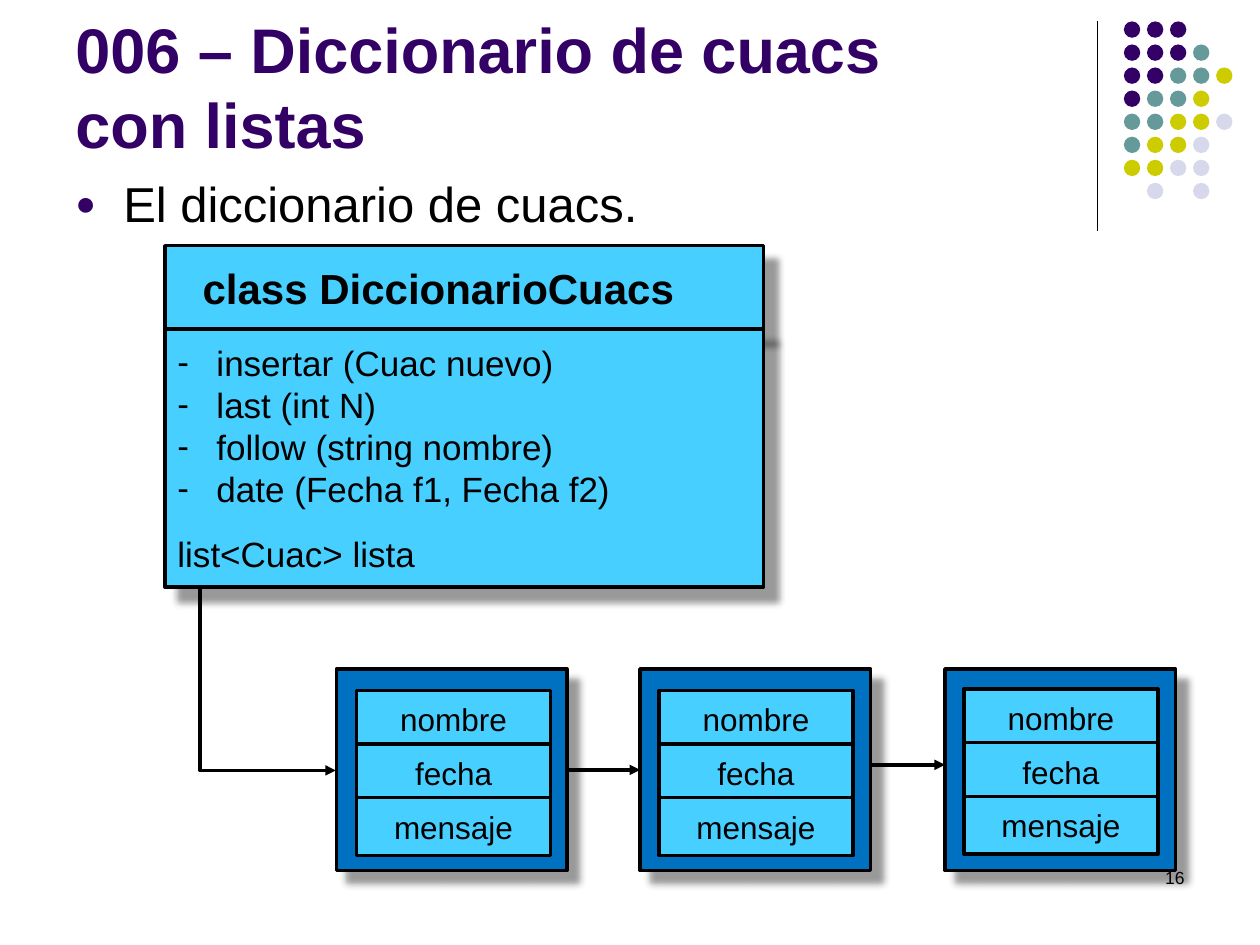
from lxml.etree import SubElement
from pptx import Presentation
from pptx.dml.color import RGBColor
from pptx.enum.shapes import MSO_CONNECTOR, MSO_SHAPE
from pptx.enum.text import MSO_ANCHOR, PP_ALIGN
from pptx.oxml.ns import qn
from pptx.util import Inches, Pt

TITLE = "006 – Diccionario de cuacs\vcon listas"
SUBTITLE = "El diccionario de cuacs."
PAGE = "16"
CLASS_NAME = "class DiccionarioCuacs"
METHODS = ["insertar (Cuac nuevo)", "last (int N)",
           "follow (string nombre)", "date (Fecha f1, Fecha f2)"]
ATTRIBUTE = "list<Cuac> lista"
FIELDS = ["nombre", "fecha", "mensaje"]
NODES = [(2.67, 2.83, 5.48), (5.08, 5.23, 5.48), (7.5, 7.65, 5.47)]

BLACK, PURPLE, SKY, BLUE = "000000", "330066", "47CFFF", "0070C0"
DOT_COLORS = {"P": PURPLE, "T": "669999", "Y": "CCCC00", "L": "D8D8EC"}
DOT_ROWS = ["PPP", "PPPT", "PPTTY", "PTTY", "TTYYL", "TYYL", "YYLL", ".L.L"]
DOT_PITCH, DOT_SIZE = 0.183, 0.13
NODE_TOP, NODE_W, NODE_H = 5.31, 1.83, 1.6
FIELD_W, FIELD_H, FIELD_PITCH = 1.54, 0.46, 0.425


def rgb(color):
    return RGBColor.from_string(color)


def child(parent, tag, **attrs):
    return SubElement(parent, qn(tag), {k: str(v) for k, v in attrs.items()})


def add_box(x, y, w, h, fill, line=True, shadow=0, kind=MSO_SHAPE.RECTANGLE):
    sp = slide.shapes.add_shape(kind, Inches(x), Inches(y), Inches(w), Inches(h))
    sp.fill.solid()
    sp.fill.fore_color.rgb = rgb(fill)
    if line:
        sp.line.color.rgb = rgb(BLACK)
        sp.line.width = Pt(2)
    else:
        sp.line.fill.background()
    sp.shadow.inherit = False
    if shadow:
        effects = sp._element.spPr.find(qn("a:effectLst"))
        outer = child(effects, "a:outerShdw", blurRad=Pt(4), dist=Pt(shadow),
                      dir=45 * 60000, algn="tl", rotWithShape=0)
        child(child(outer, "a:srgbClr", val=BLACK), "a:alpha", val=40000)
    return sp


def add_text(x, y, w, h):
    return slide.shapes.add_textbox(Inches(x), Inches(y), Inches(w), Inches(h))


def write(sp, lines, size, color=BLACK, bold=False, align=PP_ALIGN.LEFT,
          anchor=MSO_ANCHOR.MIDDLE):
    tf = sp.text_frame
    tf.word_wrap = True
    tf.vertical_anchor = anchor
    for i, line in enumerate(lines):
        p = tf.add_paragraph() if i else tf.paragraphs[0]
        p.text = line
        p.alignment = align
        for r in p.runs:
            r.font.name = "Arial"
            r.font.size = Pt(size)
            r.font.bold = bold
            r.font.color.rgb = rgb(color)
    return tf.paragraphs


def indent(p, left, char=None, color=None, percent=None):
    pPr = p._p.get_or_add_pPr()
    pPr.set("marL", str(Inches(left)))
    if char:
        pPr.set("indent", str(-Inches(left)))
        if color:
            child(child(pPr, "a:buClr"), "a:srgbClr", val=color)
        if percent:
            child(pPr, "a:buSzPct", val=percent * 1000)
        child(pPr, "a:buFont", typeface="Arial")
        child(pPr, "a:buChar", char=char)


def add_line(x1, y1, x2, y2, width=2, arrow=True, kind=MSO_CONNECTOR.STRAIGHT):
    cx = slide.shapes.add_connector(kind, Inches(x1), Inches(y1), Inches(x2), Inches(y2))
    cx.line.color.rgb = rgb(BLACK)
    cx.line.width = Pt(width)
    if arrow:
        child(cx.line._get_or_add_ln(), "a:tailEnd", type="triangle", w="med", len="med")
    child(cx._element.spPr, "a:effectLst")
    return cx


prs = Presentation()
prs.slide_width, prs.slide_height = Inches(10), Inches(7.5)
slide = prs.slides.add_slide(prs.slide_layouts[6])

add_line(8.71, 0.17, 8.71, 1.83, width=0.75, arrow=False)
for row, codes in enumerate(DOT_ROWS):
    for col, code in enumerate(codes):
        if code in DOT_COLORS:
            add_box(8.92 + col * DOT_PITCH, 0.17 + row * DOT_PITCH, DOT_SIZE, DOT_SIZE,
                    DOT_COLORS[code], line=False, kind=MSO_SHAPE.OVAL)

elbow = add_line(1.58, 4.65, 2.67, 6.11, kind=MSO_CONNECTOR.ELBOW)
elbow._element.spPr.find(qn("a:prstGeom")).set("prst", "bentConnector2")
elbow.left, elbow.top = Inches(1.39), Inches(4.84)
elbow.width, elbow.height = Inches(1.47), Inches(1.08)
xfrm = elbow._element.spPr.find(qn("a:xfrm"))
xfrm.set("rot", str(270 * 60000))
xfrm.set("flipH", "1")

header = add_box(1.31, 1.95, 4.75, 0.67, SKY, shadow=11)
indent(write(header, [CLASS_NAME], 24, bold=True)[0], 0.2)

write(add_text(0.5, 0.13, 8.25, 1.2), [TITLE], 36, PURPLE, True, anchor=MSO_ANCHOR.BOTTOM)
p = write(add_text(0.5, 1.33, 9.25, 0.75), [SUBTITLE], 28, anchor=MSO_ANCHOR.TOP)[0]
p.space_before = Pt(4)
indent(p, 0.38, "●", PURPLE, 70)
write(add_text(7.17, 6.83, 2.33, 0.5), [PAGE], 10, align=PP_ALIGN.RIGHT,
      anchor=MSO_ANCHOR.TOP)

members = add_box(1.31, 2.61, 4.75, 2.05, SKY, shadow=11)
*methods, attribute = write(members, METHODS + [ATTRIBUTE], 20)
for p in methods:
    indent(p, 0.31, "-")
attribute.space_before = Pt(13)

nodes = []
for node_x, field_x, field_y in NODES:
    nodes.append(add_box(node_x, NODE_TOP, NODE_W, NODE_H, BLUE, shadow=9))
    for i, field in enumerate(FIELDS):
        sp = add_box(field_x, field_y + i * FIELD_PITCH, FIELD_W, FIELD_H, SKY)
        write(sp, [field], 18, align=PP_ALIGN.CENTER)

link = add_line(4.5, 6.11, 5.08, 6.11)
link.begin_connect(nodes[0], 3)
link.end_connect(nodes[1], 1)
add_line(6.92, 6.07, 7.5, 6.07)

prs.save("out.pptx")
